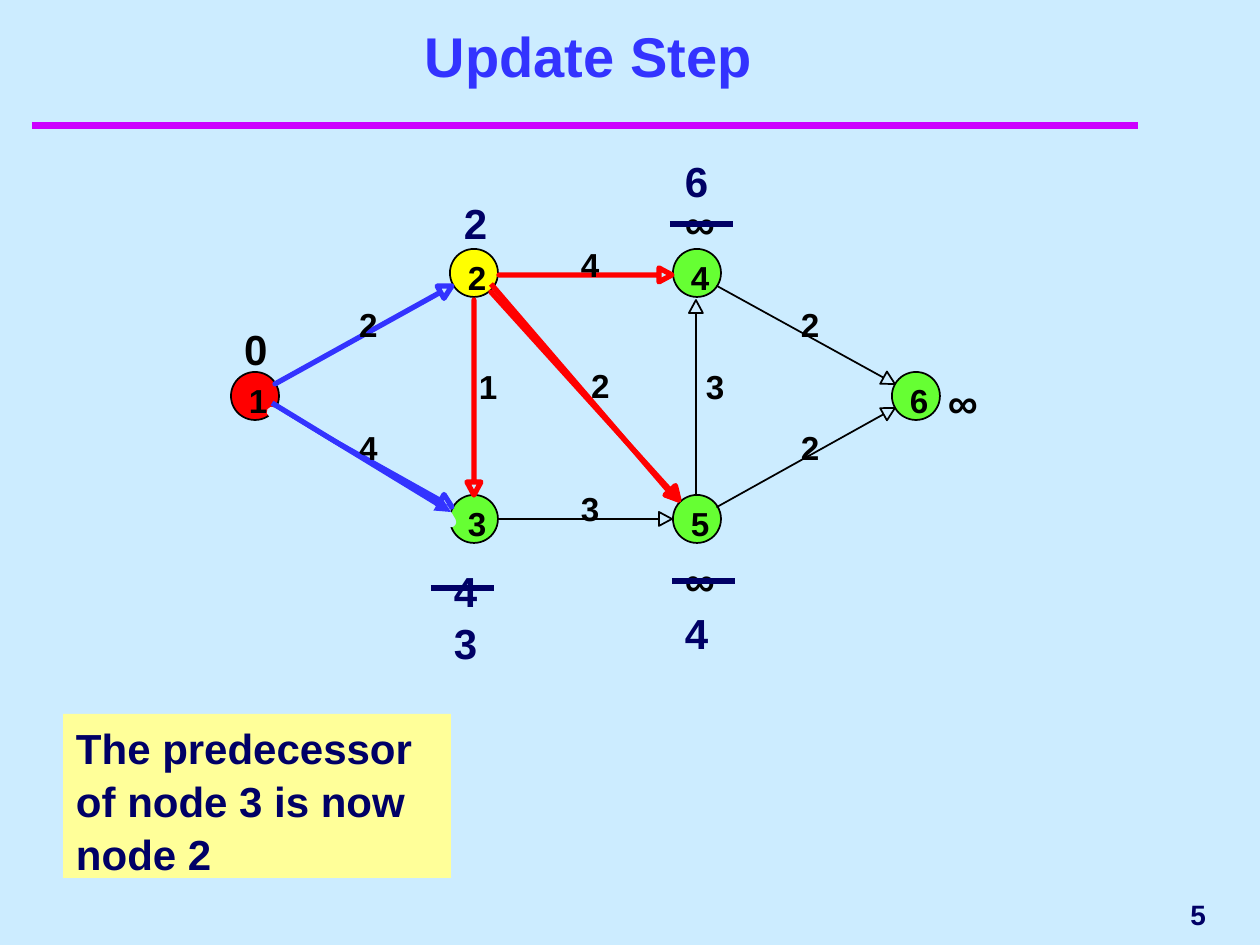
import math
import pptx
import pptx.util
import pptx.dml.color
import pptx.enum.shapes
import pptx.enum.text
import pptx.oxml
import pptx.oxml.ns

RGB = pptx.dml.color.RGBColor
SHAPE = pptx.enum.shapes.MSO_SHAPE
ALIGN = pptx.enum.text.PP_ALIGN
ANCHOR = pptx.enum.text.MSO_ANCHOR
AUTO = pptx.enum.text.MSO_AUTO_SIZE
Pt = pptx.util.Pt
qn = pptx.oxml.ns.qn

SKY = RGB(0xCC, 0xEC, 0xFF)
BLUE = RGB(0x33, 0x33, 0xFF)
NAVY = RGB(0x00, 0x00, 0x66)
PURPLE = RGB(0xCC, 0x00, 0xFF)
BLACK = RGB(0x00, 0x00, 0x00)
RED = RGB(0xFF, 0x00, 0x00)
YELLOW = RGB(0xFF, 0xFF, 0x00)
GREEN = RGB(0x66, 0xFF, 0x33)
CREAM = RGB(0xFF, 0xFF, 0x99)

PX = 914400 // 126
NODE_SIZE = 48
HEAD_LENGTH, HEAD_HALF = 13, 7
THIN, THICK, WIDE = 1, 3, 6

TITLE = "Update Step"
NODES = [
    ("1", 231, 372, RED), ("2", 450, 249, YELLOW), ("3", 450, 495, GREEN),
    ("4", 673, 249, GREEN), ("5", 673, 495, GREEN), ("6", 892, 372, GREEN),
]
EDGES = [
    ((275, 384), (452, 286), BLUE, THICK, "2", (359, 302)),
    ((499, 275), (672, 275), RED, THICK, "4", (581, 242)),
    ((491, 292), (679, 500), RED, THICK, "2", (591, 363)),
    ((474, 300), (474, 495), RED, THICK, "1", (479, 364)),
    ((499, 519), (672, 519), BLACK, THIN, "3", (581, 486)),
    ((275, 408), (452, 507), BLUE, THICK, "4", (359, 425)),
    ((717, 286), (895, 384), BLACK, THIN, "2", (801, 302)),
    ((696, 495), (696, 300), BLACK, THIN, "3", (706, 364)),
    ((717, 507), (895, 408), BLACK, THIN, "2", (801, 425)),
]
MASK = ((272, 412), (451, 522))
DISTANCES = [
    ("2", 451, 189, NAVY), ("4", 441, 557, NAVY), ("6", 672, 147, NAVY),
    ("4", 672, 599, NAVY), ("3", 441, 609, NAVY), ("0", 231, 315, BLACK),
    ("∞", 672, 189, BLACK), ("∞", 672, 546, BLACK), ("∞", 935, 368, BLACK),
]
STRIKES = [(431, 588), (670, 224), (672, 581)]
STRIKE_LENGTH = 63
BOLD_ARROWS = [((491, 284), (679, 503), RED), ((272, 403), (451, 512), BLUE)]
NOTE = "The predecessor of node 3 is now node 2"

prs = pptx.Presentation()
prs.slide_width, prs.slide_height = 1260 * PX, 945 * PX
s = prs.slides.add_slide(prs.slide_layouts[5])
s.background.fill.solid()
s.background.fill.fore_color.rgb = SKY


def emu(*pixels):
    return [round(v * PX) for v in pixels]


def put(obj, values):
    for name, value in values.items():
        setattr(obj, name, value)


def write(sp, text, size, color, align=ALIGN.LEFT, anchor=ANCHOR.TOP,
          inset=(13, 6), wrap=True, spacing=1.05):
    x, y = emu(*inset)
    tf = sp.text_frame
    tf.text = text
    put(tf, dict(margin_left=x, margin_right=x, margin_top=y, margin_bottom=y,
                 word_wrap=wrap, auto_size=AUTO.NONE, vertical_anchor=anchor))
    p = tf.paragraphs[0]
    put(p, dict(alignment=align, line_spacing=spacing))
    r = p.runs[0]
    put(r.font, dict(name="Arial", size=Pt(size), bold=True))
    r.font.color.rgb = color


def label(text, x, y, w, h, size, color, **options):
    write(s.shapes.add_textbox(*emu(x, y, w, h)), text, size, color, **options)


def digit(text, x, y):
    label(text, x, y, 19, 40, 19, BLACK, inset=(0, 0), wrap=False)


def filled(kind, box, color):
    sp = s.shapes.add_shape(kind, *emu(*box))
    sp.shadow.inherit = False
    sp.fill.solid()
    sp.fill.fore_color.rgb = color
    return sp


def outline(sp, color, width):
    sp.line.color.rgb = color
    sp.line.width = Pt(width)


def line(start, end, color, width, head=False):
    c = s.shapes.add_connector(pptx.enum.shapes.MSO_CONNECTOR.STRAIGHT,
                               *emu(*start, *end))
    outline(c, color, width)
    if head:
        c.line._get_or_add_ln().append(
            pptx.oxml.parse_xml('<a:tailEnd %s type="triangle"/>' % pptx.oxml.ns.nsdecls("a")))
    c._element.spPr.append(pptx.oxml.xmlchemy.OxmlElement("a:effectLst"))


def hollow_arrow(start, end, color, width):
    (x1, y1), (x2, y2) = start, end
    length = math.hypot(x2 - x1, y2 - y1)
    ux, uy = (x2 - x1) / length, (y2 - y1) / length
    bx, by = x2 - HEAD_LENGTH * ux, y2 - HEAD_LENGTH * uy
    dx, dy = -HEAD_HALF * uy, HEAD_HALF * ux
    points = [(bx, by), (bx + dx, by + dy), end, (bx - dx, by - dy), (bx, by)]
    builder = s.shapes.build_freeform(*emu(*start), scale=1.0)
    builder.add_line_segments([tuple(emu(*pt)) for pt in points], close=True)
    sp = builder.convert_to_shape()
    sp.shadow.inherit = False
    sp.fill.background()
    outline(sp, color, width)


line((32, 126), (1138, 126), PURPLE, 4)
title = s.shapes.title
put(title, dict(zip(("left", "top", "width", "height"), emu(53, 42, 1071, 53))))
write(title, TITLE, 32, BLUE, align=ALIGN.CENTER, anchor=ANCHOR.BOTTOM, spacing=1.0)

for name, x, y, color in NODES:
    outline(filled(SHAPE.OVAL, (x, y, NODE_SIZE, NODE_SIZE), color), BLACK, THIN)
    digit(name, x + 18, y + 6)

for start, end, color, width, cost, place in EDGES:
    hollow_arrow(start, end, color, width)
    digit(cost, *place)

for text, x, y, color in DISTANCES:
    label(text, x, y, 58, 63, 24, color)

for x, y in STRIKES:
    line((x, y), (x + STRIKE_LENGTH, y), NAVY, THICK)

hollow_arrow(*MASK, SKY, WIDE)

note = filled(SHAPE.RECTANGLE, (63, 714, 388, 164), CREAM)
note.line.fill.background()
write(note, NOTE, 24, NAVY)

for start, end, color in BOLD_ARROWS:
    line(start, end, color, THICK, head=True)

label("5", 977, 882, 242, 63, 16, NAVY, align=ALIGN.RIGHT, anchor=ANCHOR.MIDDLE)

prs.save("out.pptx")
